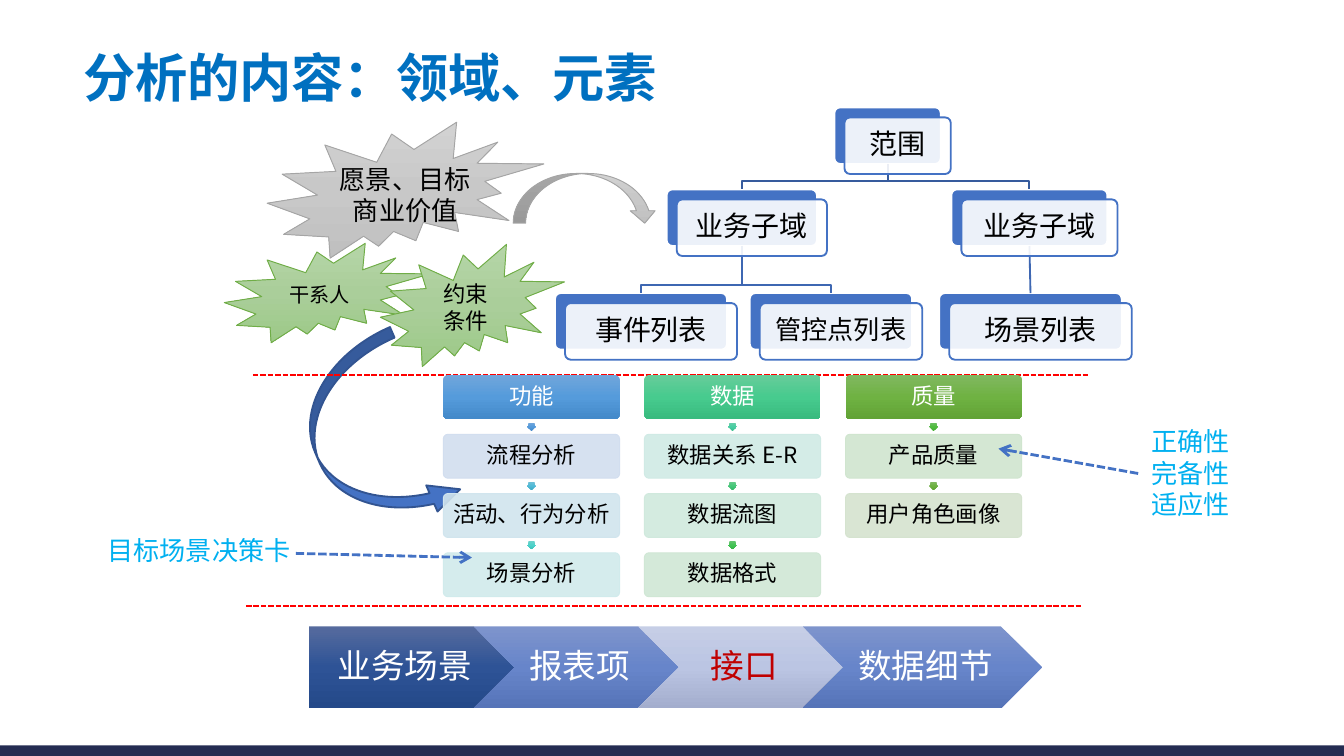
import copy

import lxml.etree
import pptx
import pptx.dml.color
import pptx.enum.dml
import pptx.enum.shapes
import pptx.enum.text
import pptx.oxml.ns
import pptx.util

Cm = pptx.util.Cm
Pt = pptx.util.Pt
SHAPE = pptx.enum.shapes.MSO_SHAPE
ALIGN = pptx.enum.text.PP_ALIGN
ANCHOR = pptx.enum.text.MSO_ANCHOR
qn = pptx.oxml.ns.qn


def rgb(value):
    return pptx.dml.color.RGBColor.from_string(value)


class Deck:
    font = "Noto Sans CJK SC"
    blue = "4472C4"
    accent = "00B0F0"

    def __init__(self, width, height):
        self.prs = pptx.Presentation()
        self.prs.slide_width, self.prs.slide_height = Cm(width), Cm(height)
        self.s = self.prs.slides.add_slide(self.prs.slide_layouts[6])

    def outline(self, sp, colour, width):
        if colour:
            sp.line.color.rgb = rgb(colour)
            sp.line.width = Pt(width)
        else:
            sp.line.fill.background()

    def gradient(self, sp, colours):
        sp.fill.gradient()
        sp.fill.gradient_angle = 270
        first = sp._element.spPr.find(".//" + qn("a:gs"))
        first.addnext(copy.deepcopy(first))
        for stop, position, colour in zip(sp.fill.gradient_stops, (0, 0.5, 1), colours):
            stop.position = position
            stop.color.rgb = rgb(colour)

    def shape(self, kind, box, fill, line=None, width=1, alpha=None, adj=(), rot=0):
        sp = self.s.shapes.add_shape(kind, *map(Cm, box))
        sp.shadow.inherit = False
        sp.rotation = rot
        for i, value in enumerate(adj):
            sp.adjustments[i] = value
        if isinstance(fill, str):
            sp.fill.solid()
            sp.fill.fore_color.rgb = rgb(fill)
        else:
            self.gradient(sp, fill)
        if alpha:
            clr = sp._element.spPr.find(qn("a:solidFill"))[0]
            lxml.etree.SubElement(clr, qn("a:alpha"), val=str(alpha * 1000))
        self.outline(sp, line, width)
        return sp

    def text(self, sp, lines, size, colour="000000", bold=False, align=ALIGN.CENTER,
             anchor=ANCHOR.MIDDLE, inset=(0.25, 0.13, 0.25, 0.13), spacing=None, wrap=True):
        tf = sp.text_frame
        tf.word_wrap = wrap
        tf.vertical_anchor = anchor
        tf.margin_left, tf.margin_top, tf.margin_right, tf.margin_bottom = map(Cm, inset)
        for i, line in enumerate(lines):
            p = tf.add_paragraph() if i else tf.paragraphs[0]
            p.alignment = align
            p.line_spacing = spacing
            r = p.add_run()
            r.text = line
            r.font.name = self.font
            r.font.size = Pt(size)
            r.font.bold = bold
            r.font.color.rgb = rgb(colour)
            lxml.etree.SubElement(r.font._element, qn("a:ea"), typeface=self.font)

    def label(self, box, lines, size, colour="000000", **style):
        sp = self.s.shapes.add_textbox(*map(Cm, box))
        self.text(sp, lines, size, colour, **style)
        return sp

    def line(self, start, end, colour, width, dashed=False, arrow=False):
        c = self.s.shapes.add_connector(
            pptx.enum.shapes.MSO_CONNECTOR.STRAIGHT, *map(Cm, start + end))
        self.outline(c, colour, width)
        if dashed:
            c.line.dash_style = pptx.enum.dml.MSO_LINE.SQUARE_DOT
        if arrow:
            ln = c._element.spPr.find(qn("a:ln"))
            lxml.etree.SubElement(ln, qn("a:tailEnd"), type="arrow")
        lxml.etree.SubElement(c._element.spPr, qn("a:effectLst"))
        return c

    def link(self, parent, child, colour):
        x1, y1 = parent.left + parent.width // 2, parent.top + parent.height
        x2, y2 = child.left + child.width // 2, child.top
        if abs(x1 - x2) < Cm(0.1):
            c = self.line((0, 0), (1, 1), colour, 1)
            c.begin_connect(parent, 2)
            c.end_connect(child, 0)
            return
        bend = y2 - Cm(0.15)
        fb = self.s.shapes.build_freeform(x1, y1)
        fb.add_line_segments([(x1, bend), (x2, bend), (x2, y2)], close=False)
        sp = fb.convert_to_shape()
        sp.shadow.inherit = False
        sp.fill.background()
        self.outline(sp, colour, 1)


GREY = ("D2D2D2", "C8C8C8", "C0C0C0")
GREEN = ("B5D5A7", "AACE9A", "9CC987")
INDIGO = ("7E94CC", "6785CA", "5674B8")
SKY = ("71A6DB", "559BDB", "448ACA")
LEAF = ("81B861", "6FB242", "62A336")

# name: left, top, width, text size, parent
TREE = {
    "root": ("范围", 15.77, 2.03, 2.01, 15, None),
    "left": ("业务子域", 12.6, 3.58, 2.84, 15, "root"),
    "right": ("业务子域", 17.98, 3.58, 2.95, 15, "root"),
    "events": ("事件列表", 10.49, 5.54, 3.25, 15, "left"),
    "controls": ("管控点列表", 14.17, 5.54, 3.07, 14, "left"),
    "scenes": ("场景列表", 17.75, 5.54, 3.45, 15, "right"),
}

# heading, heading gradient, rows of (text, fill, gradient of the arrow above)
COLUMNS = [
    ("功能", SKY, [
        ("流程分析", "D2DEEF", SKY),
        ("活动、行为分析", "D1E5EE", ("6EBFD7", "51BBD7", "41AAC6")),
        ("场景分析", "D1EBEC", ("6BD2CC", "4DD2CA", "3DC1B9"))]),
    ("数据", ("67CC9A", "47CB8E", "39BB7F"), [
        ("数据关系 E-R", "D0EAE5", ("68CEAA", "49CDA2", "3ABD92")),
        ("数据流图", "D0E9DD", ("66C98A", "46C87A", "37B86B")),
        ("数据格式", "D0E7D5", ("64C46F", "43C354", "35B346"))]),
    ("质量", LEAF, [
        ("产品质量", "D0E5CF", ("6CBF62", "51BC41", "45AC35")),
        ("用户角色画像", "D5E3CF", LEAF)]),
]

STEPS = [
    ("业务场景", SHAPE.PENTAGON, 3.89, ("566B9E", "2E5396", "244989"), "FFFFFF"),
    ("报表项", SHAPE.CHEVRON, 3.89, INDIGO, "FFFFFF"),
    ("接口", SHAPE.CHEVRON, 3.89, ("C6CEE6", "BBC5E3", "A3ADCD"), "C00000"),
    ("数据细节", SHAPE.CHEVRON, 4.52, INDIGO, "FFFFFF"),
]


def main():
    d = Deck(25.4, 14.29)

    # Footer bar and title
    d.shape(SHAPE.RECTANGLE, (0, 14.09, 25.4, 0.33), "242C52")
    d.label((1.32, 0.86, 15.44, 1.32), ["分析的内容：领域、元素"], 28, "0070C0",
            bold=True, align=ALIGN.LEFT, spacing=0.9)

    # Scope tree: back cards, links, then front cards
    cards = {}
    for key, (_, x, y, w, _, _) in TREE.items():
        cards[key] = d.shape(SHAPE.ROUNDED_RECTANGLE, (x, y, w, 1.07), d.blue, "FFFFFF", adj=[0.1])
    for key, (*_, parent) in TREE.items():
        if parent:
            d.link(cards[parent], cards[key], "365B9D" if parent == "root" else "3E67B2")
    for name, x, y, w, size, _ in TREE.values():
        sp = d.shape(SHAPE.ROUNDED_RECTANGLE, (x + 0.19, y + 0.19, w, 1.07),
                     "FFFFFF", d.blue, alpha=90, adj=[0.1])
        d.text(sp, [name], size, inset=[0.15] * 4, spacing=0.9)

    # Process steps
    for i, (name, kind, w, fill, colour) in enumerate(STEPS):
        sp = d.shape(kind, (5.84 + 3.11 * i, 11.84, w, 1.55), fill)
        d.text(sp, [name], 18, colour, inset=(0.2, 0.13, 0.08, 0.13), spacing=0.9)

    # Bursts and curved arrows
    d.shape(SHAPE.CURVED_RIGHT_ARROW, (5.94, 6.48, 2.24, 3.61), d.blue, "325491",
            adj=(0.097, 0.241, 0.25), rot=336.6)
    d.shape(SHAPE.EXPLOSION2, (5.05, 2.31, 5.23, 2.57), GREY, "A5A5A5", 0.5)
    for name, box, size in (("干系人", (4.24, 4.6, 3.89, 1.88), 10.8),
                            ("约束条件", (7.19, 4.62, 3.48, 2.31), 12)):
        d.text(d.shape(SHAPE.EXPLOSION2, box, GREEN, "70AD47", 0.5), [name], size)
    d.shape(SHAPE.CURVED_DOWN_ARROW, (9.7, 3.28, 2.72, 0.94), GREY, "A5A5A5", 0.5)
    d.label((6.02, 2.95, 3.28, 1.45), ["愿景、目标商业价值"], 14, anchor=ANCHOR.TOP)

    # Dividers
    for x, y in ((4.65, 11.46), (4.78, 7.09)):
        d.line((x, y), (x + 15.8, y), "FF0000", 1, dashed=True)

    # Element columns
    w, h, top = 3.33, 0.83, 7.09
    small = {"inset": [0.05] * 4, "spacing": 0.9}
    for i, (heading, fill, rows) in enumerate(COLUMNS):
        x = 8.38 + 3.8 * i
        sp = d.shape(SHAPE.ROUNDED_RECTANGLE, (x, top, w, h), fill, adj=[0.1])
        d.text(sp, [heading], 12, "FFFFFF", **small)
        for j, (name, colour, arrow) in enumerate(rows, 1):
            y = top + 1.12 * j
            d.shape(SHAPE.DOWN_ARROW, (x + w / 2 - 0.08, y - 0.22, 0.16, 0.15), arrow,
                    adj=(0.67, 0.5))
            sp = d.shape(SHAPE.ROUNDED_RECTANGLE, (x, y, w, h), colour, colour, 0.5,
                         alpha=90, adj=[0.1])
            d.text(sp, [name], 12, **small)

    # Side notes with pointers
    note = {"align": ALIGN.LEFT, "anchor": ANCHOR.TOP}
    quality = d.label((21.51, 7.92, 2.01, 2.06), ["正确性", "完备性", "适应性"], 14, d.accent,
                      wrap=False, **note)
    pointer = d.line((21.51, 8.95), (18.87, 8.48), d.blue, 1.5, dashed=True, arrow=True)
    pointer.begin_connect(quality, 1)
    d.label((1.78, 9.98, 4.32, 0.86), ["目标场景决策卡"], 14, d.accent, **note)
    d.line((5.59, 10.46), (8.92, 10.54), d.blue, 1.5, dashed=True, arrow=True)

    d.prs.save("out.pptx")


if __name__ == "__main__":
    main()
